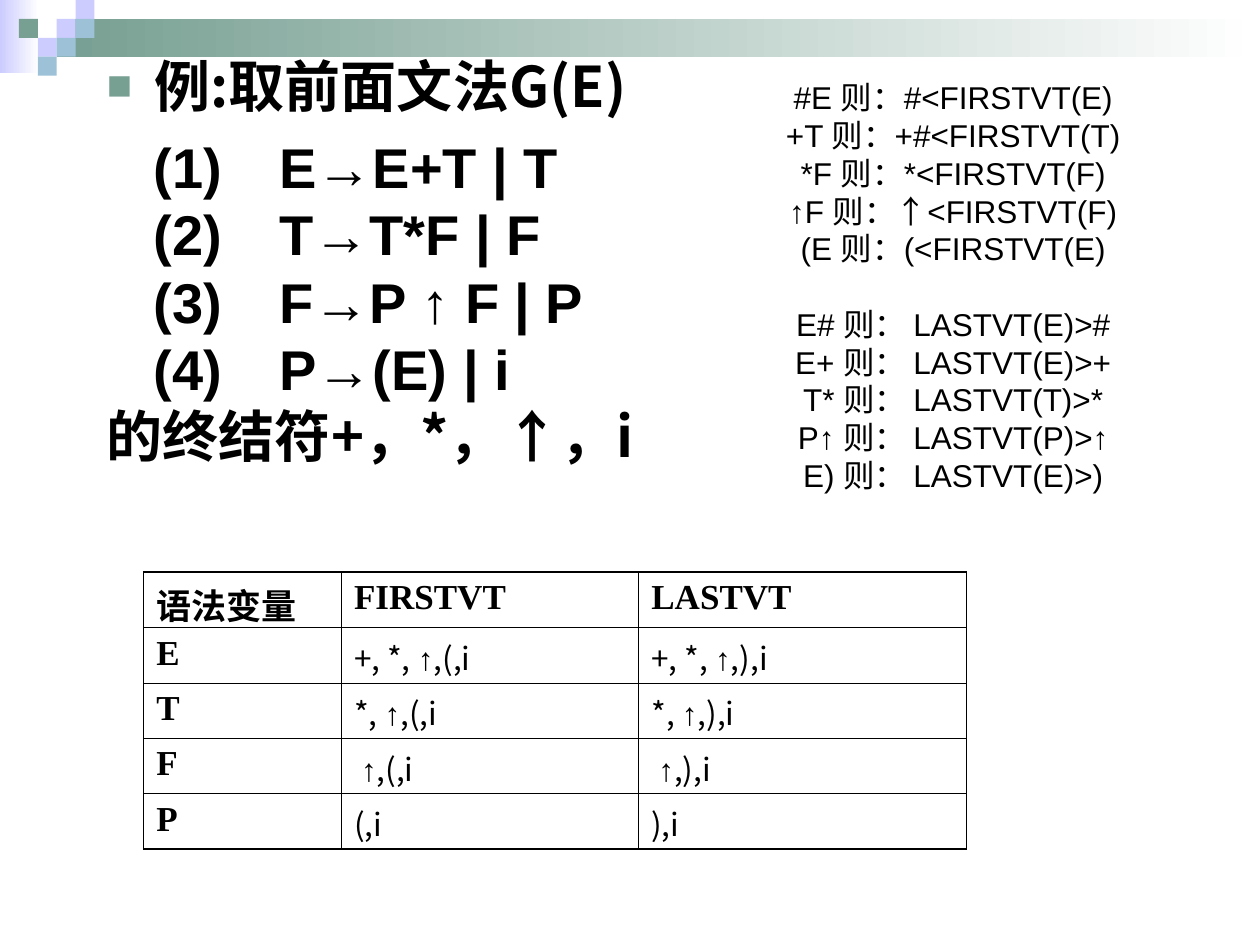
from lxml.etree import SubElement
from pptx import Presentation
from pptx.dml.color import RGBColor
from pptx.enum.shapes import MSO_SHAPE
from pptx.enum.text import PP_ALIGN
from pptx.oxml.ns import qn
from pptx.util import Inches, Pt

BLACK = RGBColor(0, 0, 0)
WHITE = RGBColor(255, 255, 255)
LILAC = RGBColor(0xCC, 0xCC, 0xFF)
GREEN = RGBColor(0x77, 0x9F, 0x92)
BLUE = RGBColor(0x9D, 0xC2, 0xD7)
SANS, CJK, SERIF = "Arial", "Noto Sans CJK SC", "Times New Roman"

RULES = ["E→E+T | T", "T→T*F | F", "F→P ↑ F | P", "P→(E) | i"]
FIRST = ["#E 则：#<FIRSTVT(E)", "+T 则：+#<FIRSTVT(T)", "*F 则：*<FIRSTVT(F)",
         "↑F 则：↑<FIRSTVT(F)", "(E 则：(<FIRSTVT(E)"]
LAST = ["E# 则： LASTVT(E)>#", "E+ 则： LASTVT(E)>+", "T* 则： LASTVT(T)>*",
        "P↑ 则： LASTVT(P)>↑", "E) 则： LASTVT(E)>)"]
SETS = [
    ["语法变量", "FIRSTVT", "LASTVT"],
    ["E", "+, *, ↑,(,i", "+, *, ↑,),i"],
    ["T", "*, ↑,(,i", "*, ↑,),i"],
    ["F", " ↑,(,i", " ↑,),i"],
    ["P", "(,i", "),i"],
]


def style(para, size, name, bold=False):
    """Set the paragraph's font, with one East Asian face throughout."""
    font = para.font
    font.size, font.name, font.bold = Pt(size), name, bold
    font.color.rgb = BLACK
    base = para._p.pPr.find(qn("a:defRPr"))
    SubElement(base, qn("a:ea"), typeface=CJK)


def add_block(slide, left, top, width, height, color, fade=False):
    shape = slide.shapes.add_shape(
        MSO_SHAPE.RECTANGLE, Inches(left), Inches(top), Inches(width), Inches(height))
    shape.shadow.inherit = False
    shape.line.fill.background()
    if fade:
        shape.fill.gradient()
        shape.fill.gradient_angle = 0
        for stop, tone in zip(shape.fill.gradient_stops, (color, WHITE)):
            stop.color.rgb = tone
    else:
        shape.fill.solid()
        shape.fill.fore_color.rgb = color


def add_banner(slide, left, top, width):
    """Draw the fading bar and the mosaic of squares at its left end."""
    side = 0.15
    add_block(slide, left, top, 0.31, 0.58, LILAC, fade=True)
    add_block(slide, left + 3 * side, top + side, width - 3 * side, 2 * side, GREEN, fade=True)
    tiles = [(3, 1, LILAC), (4, 0, LILAC), (4, 1, BLUE), (2, 2, LILAC),
             (1, 1, GREEN), (3, 2, BLUE), (2, 3, BLUE)]
    for col, row, color in tiles:
        add_block(slide, left + col * side, top + row * side, side, side, color)


def add_frame(slide, left, top, width, height):
    box = slide.shapes.add_textbox(Inches(left), Inches(top), Inches(width), Inches(height))
    box.text_frame.word_wrap = True
    return box.text_frame


def add_lines(frame, lines):
    """Yield a paragraph for each line."""
    for i, line in enumerate(lines):
        para = frame.add_paragraph() if i else frame.paragraphs[0]
        para.text = line
        yield para


def add_bullet(para):
    props = para._p.get_or_add_pPr()
    props.set("marL", str(Inches(0.38)))
    props.set("indent", str(Inches(-0.38)))
    color = SubElement(props, qn("a:buClr"))
    SubElement(color, qn("a:srgbClr"), val=str(GREEN))
    SubElement(props, qn("a:buSzPct"), val="75000")
    SubElement(props, qn("a:buFont"), typeface=SANS)
    SubElement(props, qn("a:buChar"), char="■")


def add_tab(para, left, stop):
    props = para._p.get_or_add_pPr()
    props.set("marL", str(Inches(left)))
    props.set("indent", "0")
    tabs = SubElement(props, qn("a:tabLst"))
    SubElement(tabs, qn("a:tab"), pos=str(Inches(stop)), algn="l")


def add_grammar(slide, left, top, width, height):
    rules = [f"({n})\t{rule}" for n, rule in enumerate(RULES, 1)]
    lines = ["例:取前面文法G(E)", *rules, "的终结符+，*，↑，i"]
    frame = add_frame(slide, left, top, width, height)
    for i, para in enumerate(add_lines(frame, lines)):
        rule = 0 < i <= len(rules)
        if i == 0:
            add_bullet(para)
        elif rule:
            add_tab(para, 0.37, 1.15)
        if i == 1:
            para.space_before = Pt(8)
        style(para, 32, SANS if rule else CJK, bold=True)


def add_notes(slide, left, top, width, height):
    """List the precedence relations in two groups."""
    frame = add_frame(slide, left, top, width, height)
    frame.margin_left, frame.margin_right = Inches(0.18), 0
    frame.margin_top = Inches(0.02)
    for i, para in enumerate(add_lines(frame, FIRST + LAST)):
        para.alignment = PP_ALIGN.CENTER
        if i == len(FIRST):
            para.space_before = Pt(21.5)
        style(para, 18, SANS)


def add_borders(cell, widths):
    """Draw the left, right, top and bottom lines at the given widths."""
    props = cell._tc.get_or_add_tcPr()
    for i, (side, width) in enumerate(zip("LRTB", widths)):
        line = SubElement(props, qn(f"a:ln{side}"), w=str(Pt(width)))
        fill = SubElement(line, qn("a:solidFill"))
        SubElement(fill, qn("a:srgbClr"), val=str(BLACK))
        props.insert(i, line)


def fill_cell(cell, text, head):
    para = cell.text_frame.paragraphs[0]
    para.space_before = Pt(5 if head else 4.5)
    style(para, 20 if head else 18, SERIF if head else CJK, bold=head)
    for part in text.partition("↑"):
        if part:
            run = para.add_run()
            run.text = part
            if part == "↑":
                run.font.name = SANS
    cell.fill.background()


def add_sets(slide, left, top, widths, height):
    rows, cols = len(SETS), len(widths)
    table = slide.shapes.add_table(
        rows, cols, Inches(left), Inches(top), Inches(sum(widths)), Inches(rows * height)).table
    table.first_row = table.horz_banding = False
    for col, width in zip(table.columns, widths):
        col.width = Inches(width)
    for r, texts in enumerate(SETS):
        table.rows[r].height = Inches(height)
        for c, text in enumerate(texts):
            cell = table.cell(r, c)
            fill_cell(cell, text, head=r == 0 or c == 0)
            edges = (c == 0, c == cols - 1, r == 0, r == rows - 1)
            add_borders(cell, [1.08 if edge else 0.45 for edge in edges])


def main():
    deck = Presentation()
    deck.slide_width, deck.slide_height = Inches(10), Inches(7.5)
    slide = deck.slides.add_slide(deck.slide_layouts[6])
    add_banner(slide, 0, 0, 10)
    add_grammar(slide, 0.75, 0.36, 8.5, 3.58)
    add_sets(slide, 1.14, 4.54, [1.57, 2.36, 2.6], 0.44)
    add_notes(slide, 5.92, 0.6, 3.11, 3.72)
    deck.save("out.pptx")


if __name__ == "__main__":
    main()
